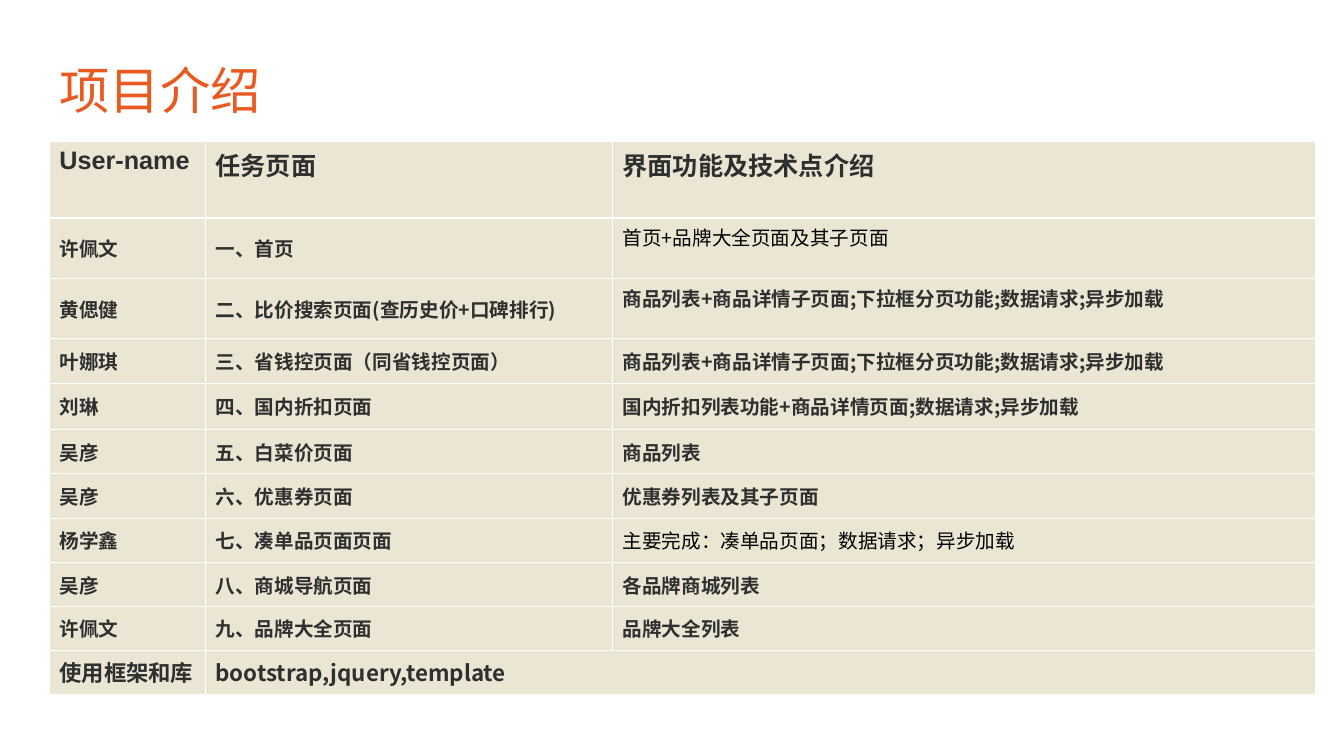
from dataclasses import dataclass

from lxml.etree import SubElement as Sub
from pptx import Presentation
from pptx.dml.color import RGBColor as Rgb
from pptx.enum.text import MSO_ANCHOR as Anchor
from pptx.oxml.ns import qn
from pptx.util import Inches, Pt


@dataclass(frozen=True)
class Theme:
    accent: str = "E95A21"
    ink: str = "2F2F2F"
    black: str = "000000"
    sand: str = "EAE6D3"
    white: str = "FFFFFF"
    latin: str = "Arial"
    han: str = "Noto Sans CJK SC"
    title: int = 36
    head: int = 18
    foot: int = 16
    body: int = 14
    thin: float = 0.45
    thick: float = 1.47


def write(frame, text, size, color, font, han, bold=False, space=None):
    """Put one formatted line of text into a text frame."""
    para = frame.paragraphs[0]
    para.line_spacing = space
    run = para.add_run()
    run.text = text
    run.font.size = Pt(size)
    run.font.bold = bold
    run.font.name = font
    run.font.color.rgb = Rgb.from_string(color)
    Sub(run.font._element, qn("a:ea")).set("typeface", han)


class Deck:
    def __init__(self, theme):
        self.theme = theme
        self.show = Presentation()
        self.show.slide_width = Inches(13.34)
        self.show.slide_height = Inches(7.5)
        self.slide = self.show.slides.add_slide(self.show.slide_layouts[6])

    def title(self, text, box):
        look = self.theme
        frame = self.slide.shapes.add_textbox(*map(Inches, box)).text_frame
        frame.word_wrap = True
        frame.vertical_anchor = Anchor.MIDDLE
        write(frame, text, look.title, look.accent, look.latin, look.han,
              space=0.9)

    def border(self, cell, **widths):
        props = cell._tc.get_or_add_tcPr()
        for side in "LRTB":
            width = Pt(widths.get(side, self.theme.thin))
            line = Sub(props, qn(f"a:ln{side}"), w=str(width))
            fill = Sub(line, qn("a:solidFill"))
            Sub(fill, qn("a:srgbClr"), val=self.theme.white)

    def cell(self, cell, text, anchor=Anchor.MIDDLE, lift=0, edges=None, **form):
        look = self.theme
        self.border(cell, **(edges or {}))
        cell.fill.solid()
        cell.fill.fore_color.rgb = Rgb.from_string(look.sand)
        cell.vertical_anchor = anchor
        cell.margin_bottom = Inches(0.05 + lift)
        style = dict(size=look.body, color=look.ink, font=look.han,
                     han=look.han, bold=True)
        write(cell.text_frame, text, **(style | form))

    def table(self, left, top, cols, rows):
        grid = self.slide.shapes.add_table(
            len(rows), len(cols), Inches(left), Inches(top),
            Inches(sum(cols)), Inches(sum(rows))).table
        grid.first_row = grid.horz_banding = False
        for col, width in zip(grid.columns, cols):
            col.width = Inches(width)
        for row, height in zip(grid.rows, rows):
            row.height = Inches(height)
        return grid

    def save(self):
        self.show.save("out.pptx")


HEAD = ["User-name", "任务页面", "界面功能及技术点介绍"]
LIST = "商品列表+商品详情子页面;下拉框分页功能;数据请求;异步加载"
TASKS = [
    ("许佩文", "一、首页", "首页+品牌大全页面及其子页面"),
    ("黄偲健", "二、比价搜索页面(查历史价+口碑排行)", LIST),
    ("叶娜琪", "三、省钱控页面（同省钱控页面）", LIST),
    ("刘琳", "四、国内折扣页面", "国内折扣列表功能+商品详情页面;数据请求;异步加载"),
    ("吴彦", "五、白菜价页面", "商品列表"),
    ("吴彦", "六、优惠券页面", "优惠券列表及其子页面"),
    ("杨学鑫", "七、凑单品页面页面", "主要完成：凑单品页面；数据请求；异步加载"),
    ("吴彦", "八、商城导航页面", "各品牌商城列表"),
    ("许佩文", "九、品牌大全页面", "品牌大全列表"),
]
FOOT = ["使用框架和库", "bootstrap,jquery,template"]
COLS = [1.55, 4.04, 6.98]
ROWS = [0.76, 0.6, 0.6, 0.44, 0.46, 0.44, 0.44, 0.44, 0.44, 0.43, 0.44]
PLAIN = {1, 7}   # rows whose last cell is black and not bold
RAISED = {1, 2}  # rows whose last cell sits higher


def main():
    look = Theme()
    deck = Deck(look)
    deck.title("项目介绍", (0.49, 0.2, 11.91, 1.45))
    grid = deck.table(0.49, 1.4, COLS, ROWS)

    # Header row
    for c, text in enumerate(HEAD):
        deck.cell(grid.cell(0, c), text, anchor=Anchor.TOP, size=look.head,
                  font=look.latin, edges={"B": look.thick})

    # Task rows
    for r, task in enumerate(TASKS, 1):
        edges = {"T": look.thick} if r == 1 else None
        for c, text in enumerate(task):
            last = c == len(COLS) - 1
            plain = last and r in PLAIN
            deck.cell(grid.cell(r, c), text, edges=edges, bold=not plain,
                      color=look.black if plain else look.ink,
                      lift=0.22 if last and r in RAISED else 0)

    # Footer row, its last two cells joined
    end = len(ROWS) - 1
    grid.cell(end, 1).merge(grid.cell(end, 2))
    for c, text in enumerate(FOOT):
        deck.cell(grid.cell(end, c), text, size=look.foot)

    deck.save()


if __name__ == "__main__":
    main()
